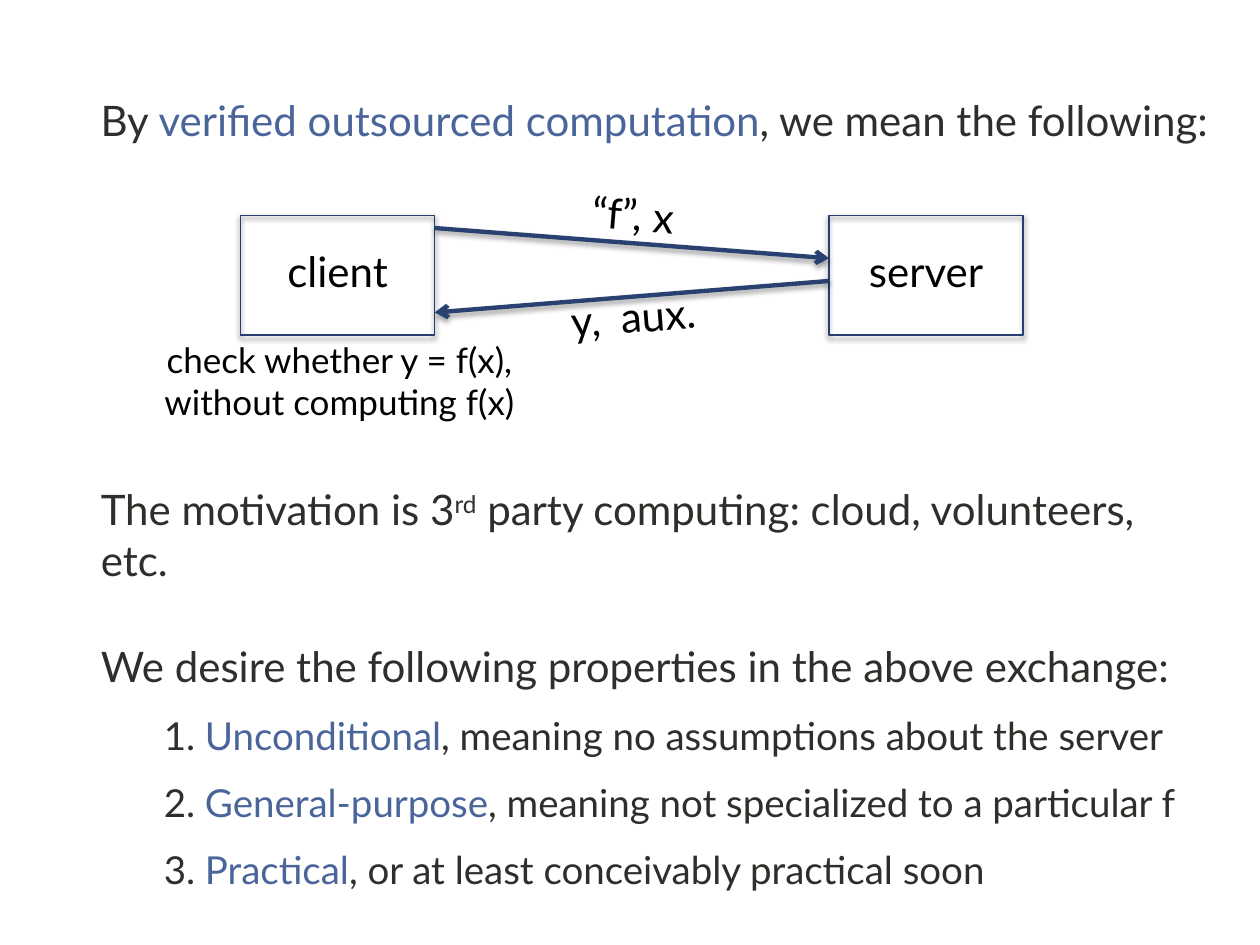
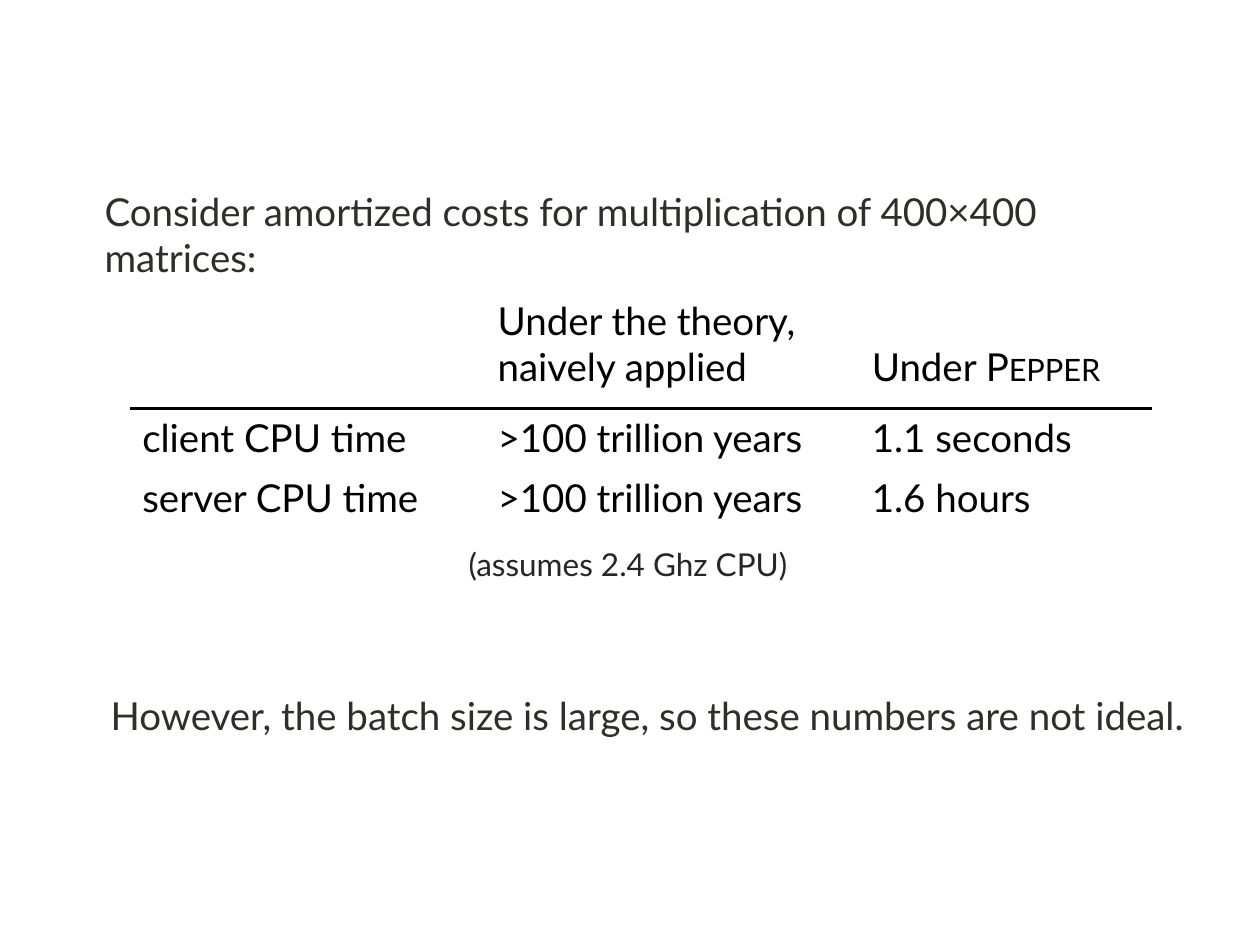
from typing import NamedTuple, Optional, Sequence, Union

from lxml.etree import SubElement
from pptx import Presentation
from pptx.dml.color import RGBColor
from pptx.enum.shapes import MSO_CONNECTOR, MSO_SHAPE
from pptx.enum.text import MSO_ANCHOR as Anchor, MSO_AUTO_SIZE, PP_ALIGN as Align
from pptx.oxml.ns import qn
from pptx.util import Inches, Pt

# Shared style
FONT = "Lato"
BODY = "2D2F2B"
ACCENT = "4A659A"
BLACK = "000000"
NOTE = "262626"
BOX_LINE = "263F70"
ARROW_LINE = "294171"
TITLE_AND_CONTENT = 1
NO_STYLE_NO_GRID = "{2D5ABB26-0587-4C30-8999-92F81FD0307C}"


class Run(NamedTuple):
    text: str
    color: Optional[str] = None
    baseline: int = 0
    small_caps: bool = False
    spacing: float = 0


class Line(NamedTuple):
    runs: Sequence[Run]
    size: float = 24
    before: float = 0
    level: int = 0


class Area(NamedTuple):
    left: float
    top: float
    width: float
    height: float


class Shadow(NamedTuple):
    opacity: int
    blur: float
    distance: float


class Message(NamedTuple):
    runs: Sequence[Run]
    start: tuple
    end: tuple
    label: Area
    rotation: float


BOX_SHADOW = Shadow(50, 3, 2)
ARROW_SHADOW = Shadow(38, 3.1, 1.6)


def rgb(color: str) -> RGBColor:
    return RGBColor.from_string(color)


def place(shape, area: Area) -> None:
    shape.left, shape.top, shape.width, shape.height = map(Inches, area)


def write(frame, content: Union[str, Sequence[Line]], *, size: float = 24,
          color: str = BLACK, align=Align.LEFT) -> None:
    """Fill a text frame with plain text or formatted lines."""
    lines = [Line([Run(content)], size)] if isinstance(content, str) else content
    frame.word_wrap = True
    for index, line in enumerate(lines):
        paragraph = frame.paragraphs[0] if index == 0 else frame.add_paragraph()
        properties = paragraph._p.get_or_add_pPr()
        properties.set("marL", str(Inches(0.5 * line.level)))
        properties.set("indent", "0")
        paragraph.level = line.level
        paragraph.alignment = align
        paragraph.space_before = Pt(line.before)
        SubElement(properties, qn("a:buNone"))
        for part in line.runs:
            run = paragraph.add_run()
            run.text = part.text
            run.font.name = FONT
            run.font.size = Pt(line.size)
            run.font.color.rgb = rgb(part.color or color)
            run_properties = run._r.get_or_add_rPr()
            if part.baseline:
                run_properties.set("baseline", str(part.baseline * 1000))
            if part.small_caps:
                run_properties.set("cap", "small")
            if part.spacing:
                run_properties.set("spc", str(round(part.spacing * 100)))


def add_text(slide, area: Area, content, *, rotation: float = 0, **text_format) -> None:
    box = slide.shapes.add_textbox(*map(Inches, area))
    box.rotation = rotation
    write(box.text_frame, content, **text_format)


def add_body_slide(presentation, area: Area, lines: Sequence[Line]):
    """Add a slide that has a body placeholder and no title."""
    slide = presentation.slides.add_slide(presentation.slide_layouts[TITLE_AND_CONTENT])
    title = slide.shapes.title
    title._element.getparent().remove(title._element)
    body = slide.placeholders[1]
    place(body, area)
    body.text_frame.auto_size = MSO_AUTO_SIZE.NONE
    write(body.text_frame, lines, color=BODY)
    return slide


def add_shadow(effects, shadow: Shadow) -> None:
    outer = SubElement(effects, qn("a:outerShdw"), blurRad=str(Pt(shadow.blur)),
                       dist=str(Pt(shadow.distance)), dir="5400000", rotWithShape="0")
    color = SubElement(outer, qn("a:srgbClr"), val=BLACK)
    SubElement(color, qn("a:alpha"), val=str(shadow.opacity * 1000))


def add_line(slide, start: tuple, end: tuple, color: str, width: float,
             *, arrow: bool = False, shadow: Optional[Shadow] = None) -> None:
    connector = slide.shapes.add_connector(MSO_CONNECTOR.STRAIGHT,
                                           *map(Inches, (*start, *end)))
    connector.line.color.rgb = rgb(color)
    connector.line.width = Pt(width)
    properties = connector._element.spPr
    if arrow:
        SubElement(properties.find(qn("a:ln")), qn("a:tailEnd"), type="arrow")
    effects = SubElement(properties, qn("a:effectLst"))
    if shadow:
        add_shadow(effects, shadow)


def add_party(slide, name: str, area: Area) -> None:
    """Draw an unfilled box; its name stands apart so that only the box has a shadow."""
    shape = slide.shapes.add_shape(MSO_SHAPE.RECTANGLE, *map(Inches, area))
    shape.fill.background()
    shape.line.color.rgb = rgb(BOX_LINE)
    shape.line.width = Pt(1)
    shape.shadow.inherit = False
    add_shadow(shape._element.spPr.find(qn("a:effectLst")), BOX_SHADOW)
    add_text(slide, area._replace(top=area.top + 0.19, height=0.5), name,
             align=Align.CENTER)


def build_definition_slide(presentation) -> None:
    properties = [
        ("Unconditional", ", meaning no assumptions about the server"),
        ("General-purpose", ", meaning not specialized to a particular f"),
        ("Practical", ", or at least conceivably practical soon"),
    ]
    slide = add_body_slide(presentation, Area(0.7, 3.79, 8.91, 3.36), [
        Line([Run("The motivation is 3"), Run("rd", baseline=30),
              Run(" party computing: cloud, volunteers, etc.")]),
        Line([Run("We desire the following properties in the above exchange:")], before=32),
        *(Line([Run(f"{number}. "), Run(term, ACCENT), Run(meaning)], 22, 12, 1)
          for number, (term, meaning) in enumerate(properties, 1)),
    ])
    add_text(slide, Area(0.7, 0.7, 9.3, 0.83), [
        Line([Run("By "), Run("verified outsourced computation", ACCENT),
              Run(", we mean the following:")])], color=BODY)

    # Exchange between client and server
    client_right, server_left = 3.45, 6.58
    box_width = 1.54
    for name, left in (("client", client_right - box_width), ("server", server_left)):
        add_party(slide, name, Area(left, 1.71, box_width, 0.95))
    messages = [
        Message([Run("“f”, x")], (client_right, 1.81), (server_left, 2.05),
                Area(3.96, 1.45, 2.13, 0.5), 4.9),
        Message([Run("y,"), Run(" ", spacing=5.5), Run("aux.")],
                (server_left, 2.23), (client_right, 2.48),
                Area(3.96, 2.26, 2.13, 0.5), -4.5),
    ]
    for message in messages:
        add_line(slide, message.start, message.end, ARROW_LINE, 2.5,
                 arrow=True, shadow=ARROW_SHADOW)
        add_text(slide, message.label, [Line(message.runs)],
                 rotation=message.rotation, align=Align.CENTER)
    add_text(slide, Area(1.18, 2.64, 3.03, 0.77),
             "check whether y = f(x), without computing f(x)",
             size=20, align=Align.CENTER)


def add_cost_table(slide, area: Area) -> None:
    rows = [
        ["", [Line([Run("Under the theory,")], 22), Line([Run("naively applied")], 22)],
         [Line([Run("Under "), Run("Pepper", small_caps=True)], 22)]],
        ["client CPU time", ">100 trillion years", "1.1 seconds"],
        ["server CPU time", ">100 trillion years", "1.6 hours"],
    ]
    column_widths = (2.82, 2.97, 2.32)
    row_heights = (0.88, 0.52, 0.47)
    margins = ((0.05, 0.1), (0.1, 0.05), (0.05, 0.05))  # top and bottom of each row

    table = slide.shapes.add_table(3, 3, *map(Inches, area)).table
    table.first_row = table.horz_banding = False
    table._tbl.tblPr.find(qn("a:tableStyleId")).text = NO_STYLE_NO_GRID
    for column, width in zip(table.columns, column_widths):
        column.width = Inches(width)
    for row_index, (row, height) in enumerate(zip(table.rows, row_heights)):
        row.height = Inches(height)
        for cell, content in zip(row.cells, rows[row_index]):
            cell.fill.background()
            cell.margin_top, cell.margin_bottom = map(Inches, margins[row_index])
            if content:
                write(cell.text_frame, content, size=22)
                cell.vertical_anchor = Anchor.BOTTOM if row_index == 0 else Anchor.TOP


def build_cost_slide(presentation) -> None:
    slide = add_body_slide(presentation, Area(0.73, 1.44, 8.85, 0.68), [
        Line([Run("Consider amortized costs for multiplication of 400×400 matrices:")], 22)])
    table_area = Area(1.03, 2.31, 8.11, 1.87)
    add_cost_table(slide, table_area)
    add_text(slide, Area(3.62, 4.28, 2.92, 0.53), "(assumes 2.4 Ghz CPU)",
             size=18, color=NOTE)
    # Rule under the header row
    rule_top = 3.24
    add_line(slide, (table_area.left, rule_top),
             (table_area.left + table_area.width, rule_top), BLACK, 1.5)
    add_text(slide, Area(0.78, 5.44, 8.85, 1.08),
             "However, the batch size is large, so these numbers are not ideal.",
             size=22, color=BODY)


def main() -> None:
    presentation = Presentation()
    presentation.slide_width = Inches(10)
    presentation.slide_height = Inches(7.5)
    build_definition_slide(presentation)
    build_cost_slide(presentation)
    presentation.save("out.pptx")


if __name__ == "__main__":
    main()
